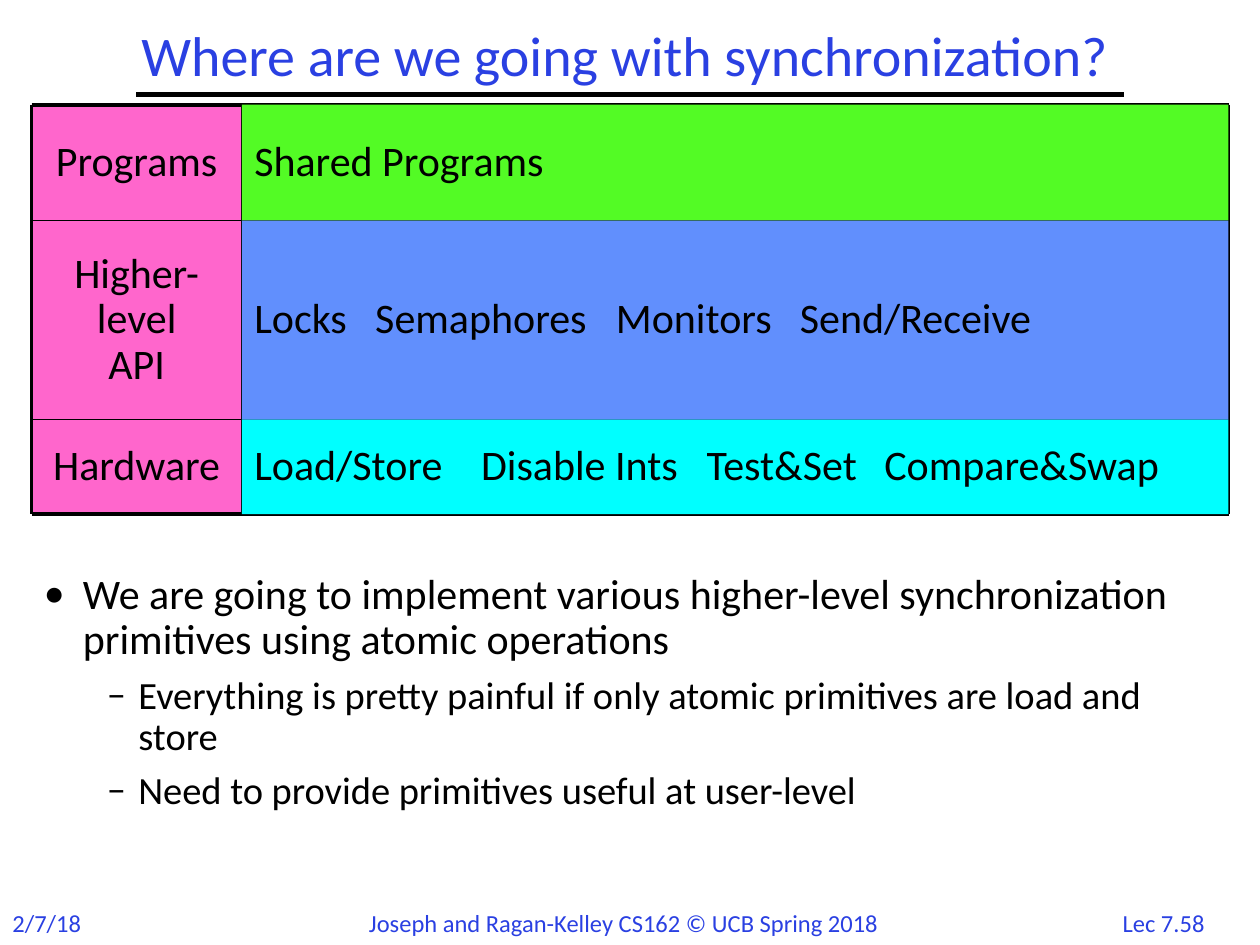
from lxml import etree
from pptx import Presentation
from pptx import util as u
from pptx.dml.color import RGBColor
from pptx.enum import shapes, text
from pptx.oxml import ns

BLACK = RGBColor(0x00, 0x00, 0x00)
BLUE = RGBColor(0x2A, 0x40, 0xE2)
PINK = RGBColor(0xFF, 0x66, 0xCC)
GREEN = RGBColor(0x53, 0xFB, 0x25)
PERIWINKLE = RGBColor(0x61, 0x8F, 0xFD)
CYAN = RGBColor(0x00, 0xFF, 0xFF)

# Content
TITLE = "Where are we going with synchronization?"
# layer name, height, colour, contents, tab stops between the contents
LAYERS = [
    ("Programs", 0.92, GREEN, ["Shared Programs"], []),
    ("Higher-level\vAPI", 1.58, PERIWINKLE,
     ["Locks", "Semaphores", "Monitors", "Send/Receive"], [0.96, 2.87, 4.33]),
    ("Hardware", 0.75, CYAN,
     ["Load/Store", "Disable Ints", "Test&Set", "Compare&Swap"], [1.8, 3.59, 5.0]),
]
# level, text
POINTS = [
    (0, "We are going to implement various higher-level synchronization "
        "primitives using atomic operations"),
    (1, "Everything is pretty painful if only atomic primitives are load and store"),
    (1, "Need to provide primitives useful at user-level"),
]
# bullet, left margin, indent, size for each level
LEVELS = [("•", 0.31, -0.31, 24), ("–", 0.75, -0.25, 22)]
# text, left, width, alignment
FOOTERS = [
    ("Lec 7.58", 8.78, 0.91, text.PP_ALIGN.CENTER),
    ("2/7/18", 0, 0.85, text.PP_ALIGN.LEFT),
    ("Joseph and Ragan-Kelley CS162 © UCB Spring 2018", 2.83, 4.35,
     text.PP_ALIGN.LEFT),
]
GRID_LEFT, GRID_SPLIT, GRID_RIGHT, GRID_TOP = 0.25, 1.92, 9.75, 0.83

presentation = Presentation()
presentation.slide_width = u.Inches(10)
presentation.slide_height = u.Inches(7.5)
slide = presentation.slides.add_slide(presentation.slide_layouts[5])


def box(left, top, width, height):
    return [u.Inches(value) for value in (left, top, width, height)]


def apply(target, **values):
    for name, value in values.items():
        setattr(target, name, value)


def write(paragraph, words, size, color=BLACK, **values):
    paragraph.text = words
    apply(paragraph, **values)
    for run in paragraph.runs:
        apply(run.font, name="Calibri", size=u.Pt(size))
        run.font.color.rgb = color


def add_line(x1, y1, x2, y2, width):
    line = slide.shapes.add_connector(
        shapes.MSO_CONNECTOR.STRAIGHT, *box(x1, y1, x2, y2))
    line.line.color.rgb = BLACK
    line.line.width = u.Pt(width)
    etree.SubElement(line._element.spPr, ns.qn("a:effectLst"))


def add_cell(left, top, width, height, fill, words, align, stops=()):
    cell = slide.shapes.add_shape(
        shapes.MSO_SHAPE.RECTANGLE, *box(left, top, width, height))
    cell.shadow.inherit = False
    cell.fill.solid()
    cell.fill.fore_color.rgb = fill
    cell.line.fill.background()
    apply(cell.text_frame, word_wrap=True, vertical_anchor=text.MSO_ANCHOR.MIDDLE)
    paragraph = cell.text_frame.paragraphs[0]
    if stops:
        tabs = etree.SubElement(paragraph._p.get_or_add_pPr(), ns.qn("a:tabLst"))
        for stop in stops:
            etree.SubElement(tabs, ns.qn("a:tab"), pos=str(u.Inches(stop)), algn="l")
    write(paragraph, words, 24, alignment=align, line_spacing=0.9)


# Footer and rule under the title
for words, left, width, align in FOOTERS:
    footer = slide.shapes.add_textbox(*box(left, 7.16, width, 0.34))
    footer.text_frame.word_wrap = False
    write(footer.text_frame.paragraphs[0], words, 14, BLUE, alignment=align)
add_line(1.08, 0.75, 8.92, 0.75, 3)

# Layer names
edges = [GRID_TOP]
for layer in LAYERS:
    edges.append(edges[-1] + layer[1])
for (name, height, *_), top in zip(LAYERS, edges):
    add_cell(GRID_LEFT, top, GRID_SPLIT - GRID_LEFT, height, PINK, name,
             text.PP_ALIGN.CENTER)

# Grid lines, heavier around the outside
for y in edges:
    add_line(GRID_LEFT, y, GRID_RIGHT, y, 2.25 if y in (edges[0], edges[-1]) else 1)
for x in (GRID_LEFT, GRID_SPLIT, GRID_RIGHT):
    add_line(x, edges[0], x, edges[-1], 1 if x == GRID_SPLIT else 2.25)

# Title
title = slide.shapes.title
title.left, title.top, title.width, title.height = box(0.5, 0.17, 8.92, 0.58)
apply(title.text_frame, word_wrap=True, auto_size=text.MSO_AUTO_SIZE.NONE,
      vertical_anchor=text.MSO_ANCHOR.MIDDLE)
write(title.text_frame.paragraphs[0], TITLE, 32, BLUE,
      alignment=text.PP_ALIGN.CENTER, line_spacing=0.9)

# Bullet points
body = slide.shapes.add_textbox(*box(0.25, 4.5, 9.42, 2.33)).text_frame
body.word_wrap = True
for index, (level, words) in enumerate(POINTS):
    paragraph = body.add_paragraph() if index else body.paragraphs[0]
    bullet, margin, indent, size = LEVELS[level]
    properties = paragraph._p.get_or_add_pPr()
    properties.set("marL", str(u.Inches(margin)))
    properties.set("indent", str(u.Inches(indent)))
    etree.SubElement(properties, ns.qn("a:buFont"), typeface="Calibri")
    etree.SubElement(properties, ns.qn("a:buChar"), char=bullet)
    write(paragraph, words, size, level=level, line_spacing=0.9,
          space_before=u.Pt(7 if index else 0))

# Layer contents, over the grid lines
for (_, height, fill, items, stops), top in zip(LAYERS, edges):
    add_cell(GRID_SPLIT, top, GRID_RIGHT - GRID_SPLIT, height, fill,
             "\t".join(items), text.PP_ALIGN.LEFT, stops)

presentation.save("out.pptx")
